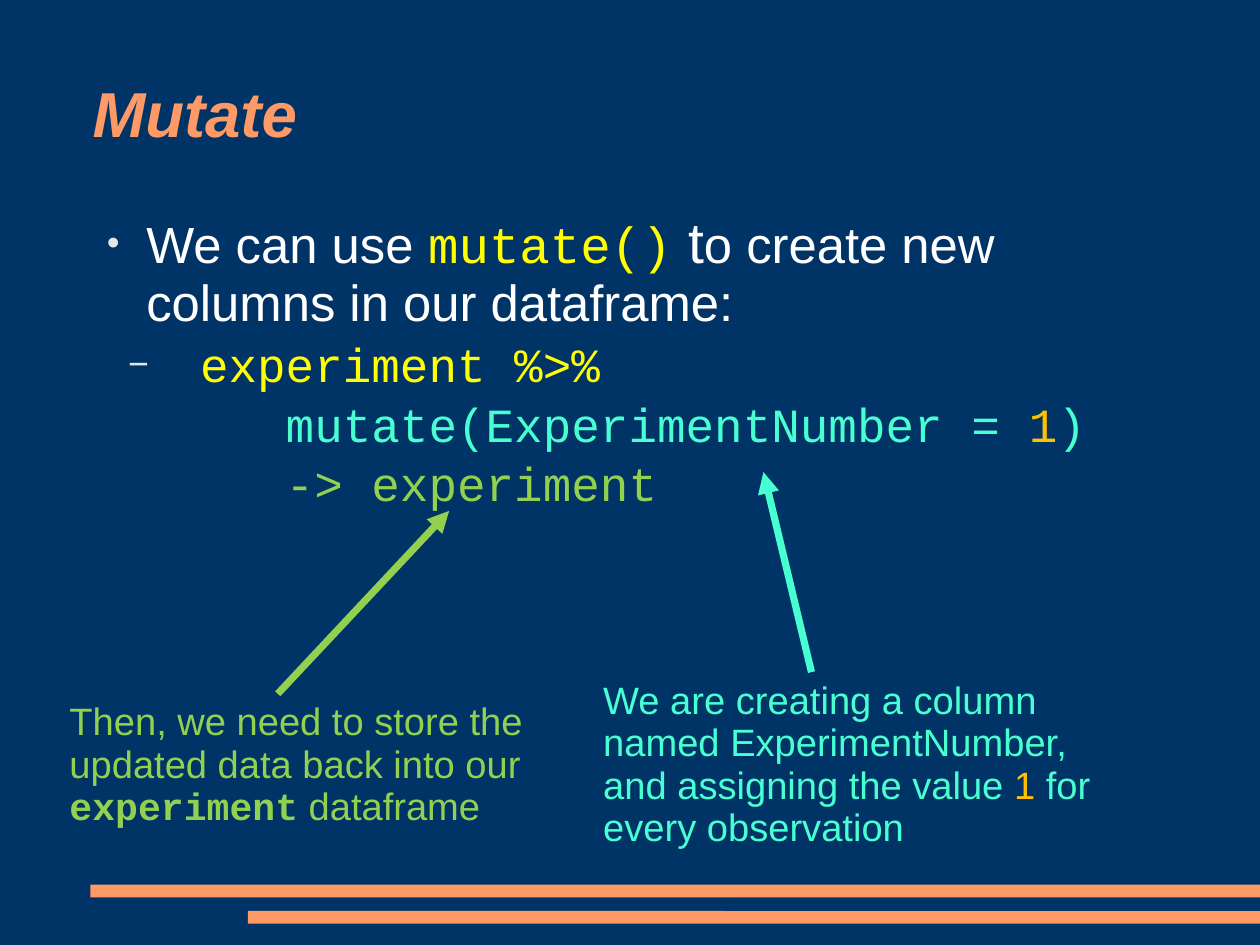
"""Build the Mutate slide."""
import dataclasses

import lxml.etree
import pptx
import pptx.dml.color
import pptx.enum.shapes
import pptx.enum.text
import pptx.oxml.ns
import pptx.shapes.connector
import pptx.slide
import pptx.text.text
import pptx.util

Inches = pptx.util.Inches
RGBColor = pptx.dml.color.RGBColor
qn = pptx.oxml.ns.qn

NAVY = RGBColor(0x00, 0x33, 0x66)
ORANGE = RGBColor(0xFF, 0x99, 0x66)
WHITE = RGBColor(0xFF, 0xFF, 0xFF)
GRAY = RGBColor(0xE6, 0xE6, 0xE6)
YELLOW = RGBColor(0xFF, 0xFF, 0x00)
AQUA = RGBColor(0x47, 0xFF, 0xD1)
GOLD = RGBColor(0xFF, 0xC0, 0x00)
GREEN = RGBColor(0x92, 0xD0, 0x50)
SANS = "Arial"
MONO = "Courier New"
WIDTH = pptx.util.Emu(10080625)
HEIGHT = pptx.util.Emu(7559675)


@dataclasses.dataclass
class Style:
    size: float | None = None
    color: RGBColor | None = None
    face: str | None = None
    bold: bool | None = None
    slant: bool | None = None


@dataclasses.dataclass
class Run:
    text: str
    style: Style = dataclasses.field(default_factory=Style)


@dataclasses.dataclass
class Para:
    style: Style
    runs: list[Run]
    line: float = 0.93
    left: float = 0
    hang: float = 0
    mark: str = ""
    scale: int = 100


@dataclasses.dataclass
class Box:
    area: tuple[float, float, float, float]
    inset: tuple[float, float, float, float]
    paras: list[Para]
    middle: bool = False


@dataclasses.dataclass
class Arrow:
    start: tuple[float, float]
    end: tuple[float, float]
    color: RGBColor


def code(runs: list[Run], color: RGBColor, **extra) -> Para:
    """Return one line of code."""
    return Para(Style(30, color, MONO), runs, line=1.04, **extra)


def note(left: float, top: float, color: RGBColor, runs: list[Run]) -> Box:
    """Return a callout text box."""
    return Box((left, top, 4.67, 1.61), (0.1, 0.07, 0.1, 0.05),
               [Para(Style(24, color, SANS), runs)])


BARS = [(0.79, 7.74), (2.17, 7.97)]
BOXES = [
    Box((0.81, 0.36, 9.41, 1.28), (0, 0.04, 0, 0),
        [Para(Style(40, ORANGE, SANS, True, True), [Run("Mutate")])], middle=True),
    Box((0.81, 1.83, 9.59, 5.66), (0, 0.03, 0, 0), [
        Para(Style(32, WHITE, SANS), [
            Run("We can use "),
            Run("mutate()", Style(color=YELLOW, face=MONO)),
            Run(" t", Style(size=36)),
            Run("o create new columns in our dataframe:"),
        ], left=0.47, hang=-0.35, mark="●", scale=45),
        code([Run("experiment %>%")], YELLOW,
             left=0.94, hang=-0.63, mark="−", scale=75),
        code([Run("mutate(ExperimentNumber = "), Run("1", Style(color=GOLD)), Run(")")],
             AQUA, left=1.69),
        code([Run("-> experiment")], GREEN, left=1.69),
    ]),
    note(5.18, 5.88, AQUA, [
        Run("We are creating a column named ExperimentNumber, and assigning the value "),
        Run("1", Style(color=GOLD)),
        Run(" for every observation"),
    ]),
    note(0.51, 6.07, GREEN, [
        Run("Then, we need to store the\vupdated data back into our "),
        Run("experiment", Style(face=MONO, bold=True)),
        Run(" dataframe"),
    ]),
]
ARROWS = [
    Arrow((7.1, 5.88), (6.68, 4.13), AQUA),
    Arrow((2.43, 6.07), (3.93, 4.47), GREEN),
]


def set_font(font: pptx.text.text.Font, style: Style) -> None:
    """Apply the given parts of a style to a font."""
    if style.size is not None:
        font.size = pptx.util.Pt(style.size)
    if style.color is not None:
        font.color.rgb = style.color
    if style.face is not None:
        font.name = style.face
    if style.bold is not None:
        font.bold = style.bold
    if style.slant is not None:
        font.italic = style.slant


def add_mark(props: lxml.etree._Element, para: Para) -> None:
    """Set the indent and bullet of a paragraph."""
    props.set("marL", str(Inches(para.left)))
    props.set("indent", str(Inches(para.hang)))
    if not para.mark:
        lxml.etree.SubElement(props, qn("a:buNone"))
        return
    tint = lxml.etree.SubElement(props, qn("a:buClr"))
    lxml.etree.SubElement(tint, qn("a:srgbClr"), val=str(GRAY))
    lxml.etree.SubElement(props, qn("a:buSzPct"), val=str(para.scale * 1000))
    lxml.etree.SubElement(props, qn("a:buFont"), typeface=SANS)
    lxml.etree.SubElement(props, qn("a:buChar"), char=para.mark)


def fill_para(target: pptx.text.text._Paragraph, para: Para) -> None:
    """Write one paragraph."""
    target.line_spacing = para.line
    add_mark(target._p.get_or_add_pPr(), para)
    set_font(target.font, para.style)
    for part in para.runs:
        for index, text in enumerate(part.text.split("\v")):
            if index:
                target.add_line_break()
            run = target.add_run()
            run.text = text
            set_font(run.font, part.style)


def add_box(slide: pptx.slide.Slide, box: Box) -> None:
    """Draw a text box."""
    frame = slide.shapes.add_textbox(*map(Inches, box.area)).text_frame
    frame.word_wrap = True
    (frame.margin_left, frame.margin_top,
     frame.margin_right, frame.margin_bottom) = map(Inches, box.inset)
    anchor = pptx.enum.text.MSO_ANCHOR
    frame.vertical_anchor = anchor.MIDDLE if box.middle else anchor.TOP
    for index, para in enumerate(box.paras):
        fill_para(frame.add_paragraph() if index else frame.paragraphs[0], para)


def add_bar(slide: pptx.slide.Slide, left: float, top: float) -> None:
    """Draw a bar that runs to the right edge."""
    bar = slide.shapes.add_shape(
        pptx.enum.shapes.MSO_SHAPE.ROUNDED_RECTANGLE,
        Inches(left), Inches(top), WIDTH - Inches(left), Inches(0.11))
    bar.adjustments[0] = 0.02
    bar.shadow.inherit = False
    bar.fill.solid()
    bar.fill.fore_color.rgb = ORANGE
    bar.line.fill.background()


def add_arrow(slide: pptx.slide.Slide, arrow: Arrow) -> None:
    """Draw an arrow."""
    link = slide.shapes.add_connector(
        pptx.enum.shapes.MSO_CONNECTOR.STRAIGHT,
        *map(Inches, arrow.start + arrow.end))
    link.line.color.rgb = arrow.color
    link.line.width = pptx.util.Pt(4.5)
    lxml.etree.SubElement(link.line._get_or_add_ln(), qn("a:tailEnd"), type="triangle")
    lxml.etree.SubElement(link._element.spPr, qn("a:effectLst"))


def main() -> None:
    """Build and save the deck."""
    deck = pptx.Presentation()
    deck.slide_width, deck.slide_height = WIDTH, HEIGHT
    slide = deck.slides.add_slide(deck.slide_layouts[6])
    slide.background.fill.solid()
    slide.background.fill.fore_color.rgb = NAVY
    for left, top in BARS:
        add_bar(slide, left, top)
    for box in BOXES:
        add_box(slide, box)
    for arrow in ARROWS:
        add_arrow(slide, arrow)
    deck.save("out.pptx")


if __name__ == "__main__":
    main()
